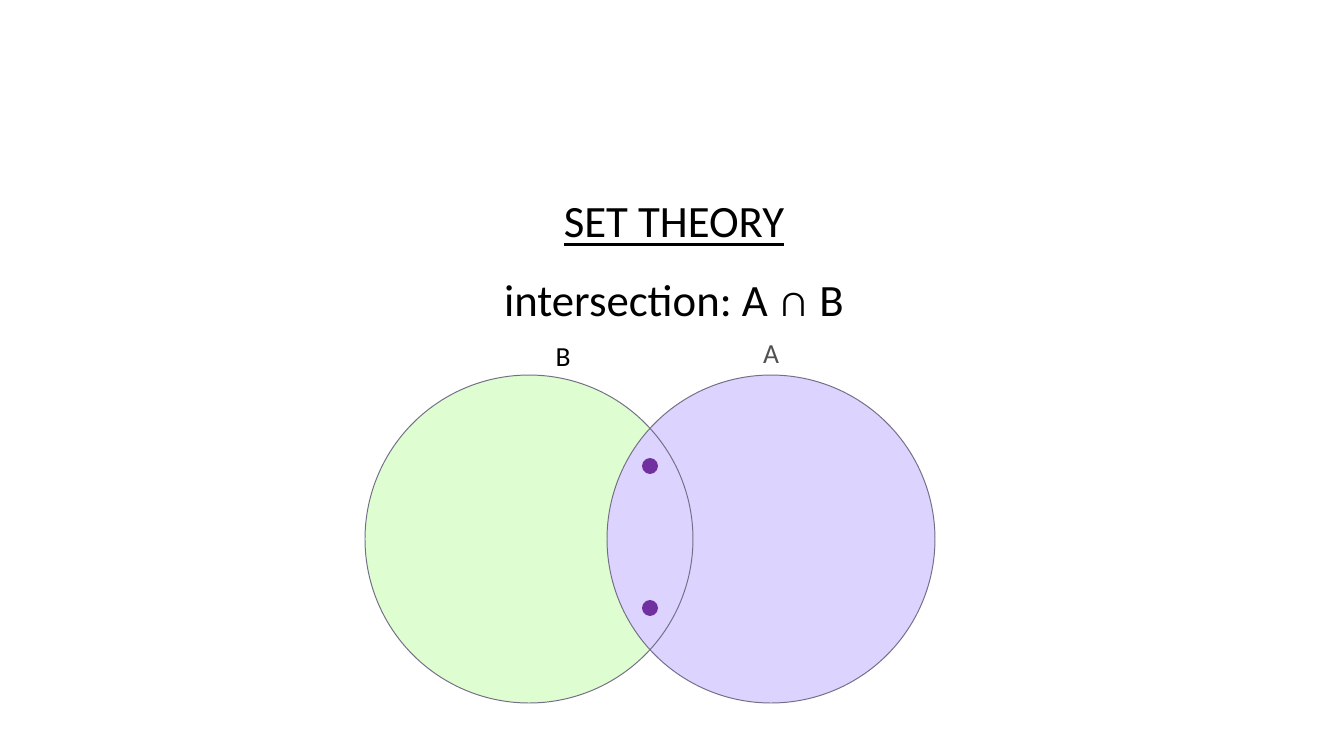
from pptx import Presentation
from pptx.dml.color import RGBColor
from pptx.enum.shapes import MSO_SHAPE
from pptx.enum.text import MSO_ANCHOR, PP_ALIGN
from pptx.util import Pt

PX = 12900  # EMU in one px
SLIDE_W, SLIDE_H = 1344, 756

HEADING = [
    ("set theory", {"size": Pt(56.9), "underline": True}, {"cap": "small"}),
    ("intersection: A ∩ B", {"size": Pt(45.5)}, {}),
]
HEADING_BOX = (74, 181, 1200, 150)
HEADING_GAP = 23.4

# text, centre x, top, colour, extra run attributes
LABELS = [
    ("A", 771, 336, "515151", {"spc": "-30"}),
    ("B", 563, 339, "000000", {}),
]
LABEL_W, LABEL_H = 32, 34

SET_SIZE, DOT_SIZE = 328, 16
SET_B, SET_A = (529, 539), (771, 539)
GREEN, LILAC, PURPLE, OUTLINE = "DEFDD0", "DCD3FF", "7030A0", "746F87"
LENS_X = (SET_A[0] + SET_B[0]) // 2

# centre, diameter, fill, line; the outline of B lies over A
CIRCLES = [
    (SET_B, SET_SIZE, GREEN, None),
    (SET_A, SET_SIZE, LILAC, OUTLINE),
    (SET_B, SET_SIZE, None, OUTLINE),
    ((LENS_X, 466), DOT_SIZE, PURPLE, None),
    ((LENS_X, 608), DOT_SIZE, PURPLE, None),
]


def rgb(value):
    return RGBColor.from_string(value)


def emu(*lengths):
    return [n * PX for n in lengths]


def add_text(s, box, lines, color="000000", gap=0):
    """Centred lines, each a (text, font values, run attributes) tuple."""
    tf = s.shapes.add_textbox(*emu(*box)).text_frame
    tf.word_wrap = True
    tf.vertical_anchor = MSO_ANCHOR.TOP
    for side in ("left", "top", "right", "bottom"):
        setattr(tf, f"margin_{side}", 0)
    for i, (text, font, attributes) in enumerate(lines):
        p = tf.add_paragraph() if i else tf.paragraphs[0]
        p.alignment = PP_ALIGN.CENTER
        if i:
            p.space_before = Pt(gap)
        r = p.add_run()
        r.text = text
        for name, value in {"name": "Calibri", **font}.items():
            setattr(r.font, name, value)
        r.font.color.rgb = rgb(color)
        for name, value in attributes.items():
            r._r.get_or_add_rPr().set(name, value)


def add_circle(s, centre, size, fill, line):
    x, y = centre
    sp = s.shapes.add_shape(
        MSO_SHAPE.OVAL, *emu(x - size // 2, y - size // 2, size, size))
    sp.shadow.inherit = False
    if fill:
        sp.fill.solid()
        sp.fill.fore_color.rgb = rgb(fill)
    else:
        sp.fill.background()
    if line:
        sp.line.color.rgb = rgb(line)
        sp.line.width = Pt(1)
    else:
        sp.line.fill.background()


def main():
    prs = Presentation()
    prs.slide_width, prs.slide_height = emu(SLIDE_W, SLIDE_H)
    s = prs.slides.add_slide(prs.slide_layouts[6])
    add_text(s, HEADING_BOX, HEADING, gap=HEADING_GAP)
    for circle in CIRCLES:
        add_circle(s, *circle)
    for text, x, top, color, attributes in LABELS:
        box = (x - LABEL_W // 2, top, LABEL_W, LABEL_H)
        add_text(s, box, [(text, {"size": Pt(28)}, attributes)], color)
    prs.save("out.pptx")


if __name__ == "__main__":
    main()
